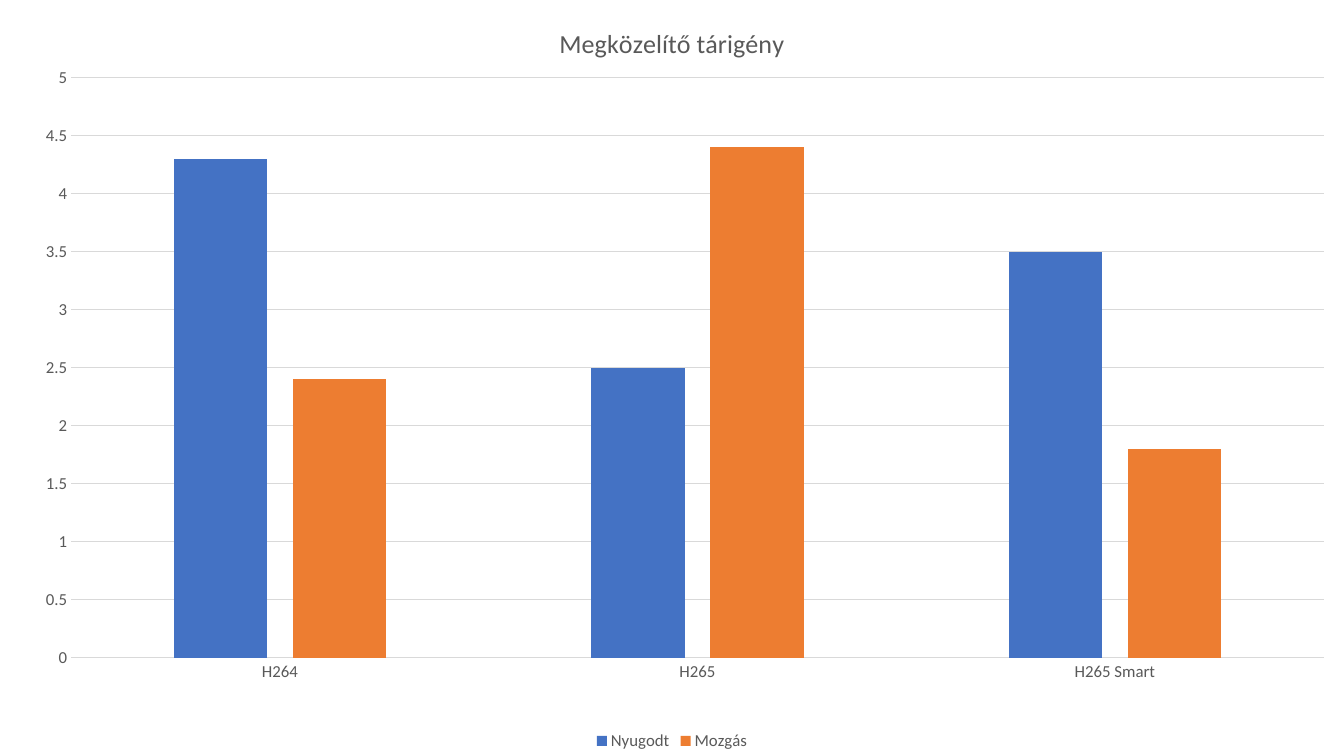
from lxml import etree
from pptx import Presentation
from pptx.chart.data import CategoryChartData
from pptx.dml.color import RGBColor
from pptx.enum import chart as ch
from pptx.oxml import ns
from pptx.util import Inches, Pt

GREY, GRID = "595959", "D9D9D9"
CATEGORIES = ["H264", "H265", "H265 Smart"]
SERIES = [
    ("Nyugodt", "4472C4", (4.3, 2.5, 3.5)),
    ("Mozgás", "ED7D31", (2.4, 4.4, 1.8)),
]


def rgb(value):
    return RGBColor.from_string(value)


def set_font(font, size, color=GREY):
    for name, value in {"name": "Calibri", "size": Pt(size), "bold": False}.items():
        setattr(font, name, value)
    font.color.rgb = rgb(color)


def set_line(fmt):
    fmt.line.color.rgb = rgb(GRID)
    fmt.line.width = Pt(0.75)


def set_layout(parent, after, **values):
    """Place a chart part by fractions of the chart area."""
    for old in parent.findall(ns.qn("c:layout")):
        parent.remove(old)
    layout = etree.Element(ns.qn("c:layout"))
    manual = etree.SubElement(layout, ns.qn("c:manualLayout"))
    for tag, value in values.items():
        etree.SubElement(manual, ns.qn("c:" + tag)).set("val", str(value))
    if after is None:
        parent.insert(0, layout)
    else:
        after.addnext(layout)


def add_columns(slide, width, height):
    data = CategoryChartData()
    data.categories = CATEGORIES
    for name, _, values in SERIES:
        data.add_series(name, values)
    chart = slide.shapes.add_chart(
        ch.XL_CHART_TYPE.COLUMN_CLUSTERED, 0, 0, width, height, data).chart
    set_font(chart.font, 12)
    plot = chart.plots[0]
    for name, value in {"gap_width": 219, "overlap": -27,
                        "vary_by_categories": False}.items():
        setattr(plot, name, value)
    for series, (_, color, _) in zip(plot.series, SERIES):
        series.format.fill.solid()
        series.format.fill.fore_color.rgb = rgb(color)
        series.invert_if_negative = False
    set_layout(chart.plots[0]._element.getparent(), None, layoutTarget="inner",
               xMode="edge", yMode="edge", x=0.053, y=0.103, w=0.932, h=0.767)
    return chart


def format_title(chart, title):
    chart.has_title = True
    tf = chart.chart_title.text_frame
    tf.text = title
    set_font(tf.paragraphs[0].runs[0].font, 18.6)
    chart.chart_title.include_in_layout = False


def format_axes(chart):
    for axis in (chart.category_axis, chart.value_axis):
        axis.major_tick_mark = axis.minor_tick_mark = ch.XL_TICK_MARK.NONE
        set_font(axis.tick_labels.font, 12)
    set_line(chart.category_axis.format)
    value_axis = chart.value_axis
    for name, value in {"minimum_scale": 0, "maximum_scale": 5,
                        "major_unit": 0.5}.items():
        setattr(value_axis, name, value)
    value_axis.format.line.fill.background()
    set_line(value_axis.major_gridlines.format)


def format_legend(chart):
    chart.has_legend = True
    legend = chart.legend
    legend.position = ch.XL_LEGEND_POSITION.BOTTOM
    legend.include_in_layout = False
    set_font(legend.font, 12)
    element = legend._element
    set_layout(element, element.find(ns.qn("c:legendPos")), xMode="edge",
               yMode="edge", x=0.44, y=0.96, w=0.12, h=0.04)


def main():
    prs = Presentation()
    prs.slide_width, prs.slide_height = Inches(13.33), Inches(7.5)
    slide = prs.slides.add_slide(prs.slide_layouts[6])

    # Full-slide column chart
    chart = add_columns(slide, prs.slide_width, prs.slide_height)
    format_title(chart, "Megközelítő tárigény")
    format_axes(chart)
    format_legend(chart)

    prs.save("out.pptx")


if __name__ == "__main__":
    main()
